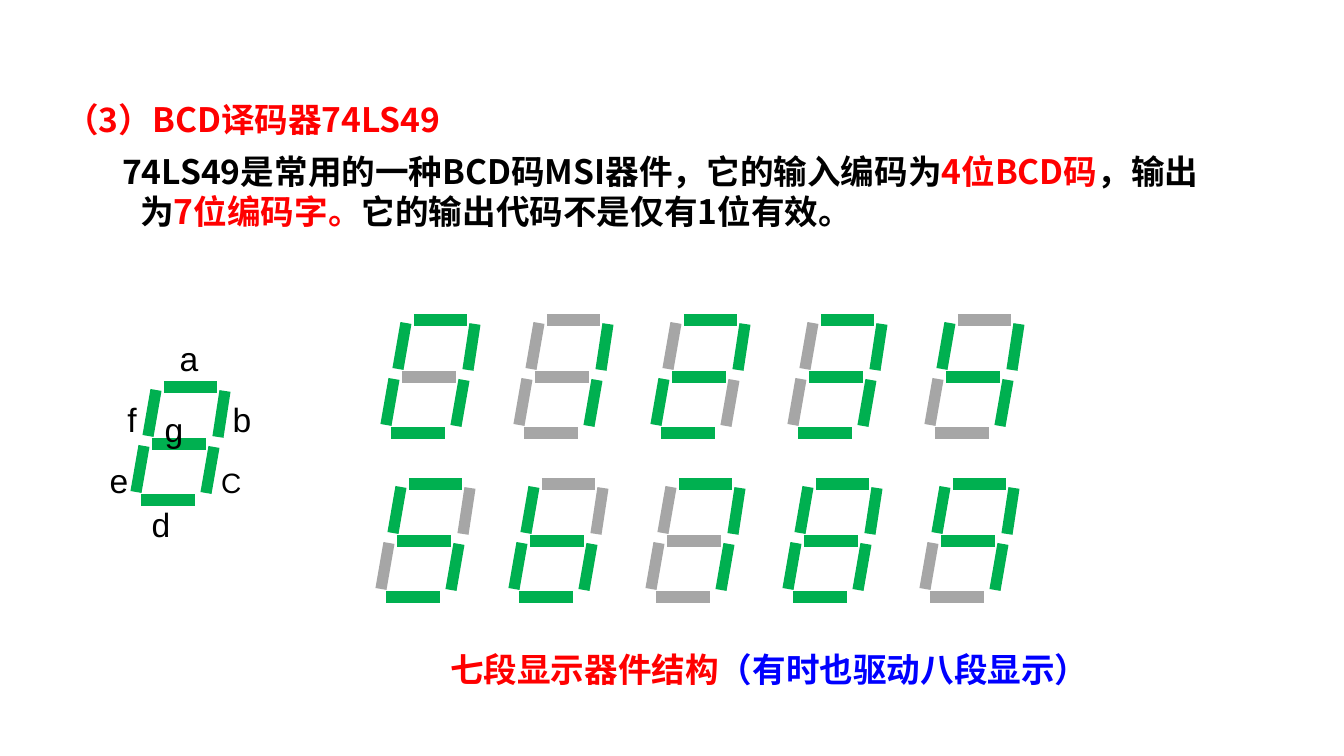
from dataclasses import dataclass

from lxml import etree
from pptx import Presentation
from pptx import util as u
from pptx.dml.color import RGBColor
from pptx.enum import shapes, text
from pptx.oxml.ns import qn


@dataclass(frozen=True)
class Theme:
    red: str = "FF0000"
    blue: str = "0000FF"
    black: str = "000000"
    lit: str = "00B050"
    unlit: str = "A6A6A6"
    heading_font: str = "Noto Sans CJK JP"
    label_font: str = "Arial"
    body_size: int = 18
    small_size: int = 15
    segment_width: int = 6


THEME = Theme()
PX_PER_INCH = 134.4
SLIDE_SIZE = (1344, 756)

SEGMENTS = {
    "d": (5, 113, 59, 113),
    "a": (28, 0, 81, 0),
    "f": (20, 3, 12, 49),
    "g": (16, 57, 70, 57),
    "e": (8, 59, 0, 105),
    "b": (89, 4, 82, 50),
    "c": (78, 60, 70, 106),
}
LIT_SEGMENTS = (
    ("abcdef", "bc", "abdeg", "abcdg", "bcfg"),
    ("acdfg", "cdefg", "abc", "abcdefg", "abcfg"),
)
COLUMN_OFFSETS = (0, 133, 270, 407, 544)
ROW_ORIGINS = ((386, 320), (381, 484))
LABEL_SIZE = (46, 54)
LABEL_CENTRES = {
    "C": (95, 95),
    "d": (25, 137),
    "e": (-17, 93),
    "a": (53, -29),
    "b": (106, 32),
    "f": (-4, 32),
    "g": (38, 42),
}


def px(length):
    return u.Emu(round(length * 914400 / PX_PER_INCH))


def add_text(parent, box, runs, font, size, bold=False):
    frame = parent.add_textbox(*map(px, box)).text_frame
    frame.word_wrap = True
    paragraph = frame.paragraphs[0]
    paragraph.font.name = font
    paragraph.font.size = u.Pt(size)
    paragraph.font.bold = bold
    latin = paragraph.font._element.find(qn("a:latin"))
    east_asian = etree.Element(qn("a:ea"), typeface=font)
    latin.addnext(east_asian)
    for wording, color in runs:
        run = paragraph.add_run()
        run.text = wording
        run.font.color.rgb = RGBColor.from_string(color)
    return paragraph


def add_heading(slide, box):
    heading = add_text(slide.shapes, box, [("（3）BCD译码器74LS49", THEME.red)],
                       THEME.heading_font, THEME.body_size, bold=True)
    heading.line_spacing = 0.9


def add_description(slide, box):
    description = add_text(slide.shapes, box, [
        ("74LS49是常用的一种BCD码MSI器件，它的输入编码为", THEME.black),
        ("4位BCD码", THEME.red),
        ("，输出为", THEME.black),
        ("7位编码字。", THEME.red),
        ("它的输出代码不是仅有1位有效。", THEME.black),
    ], THEME.heading_font, THEME.body_size, bold=True)
    properties = description._p.get_or_add_pPr()
    properties.set("marL", str(px(26)))
    properties.set("indent", str(px(-18)))


def add_caption(slide, box):
    add_text(slide.shapes, box, [
        ("七段显示器件结构", THEME.red),
        ("（有时也驱动八段显示）", THEME.blue),
    ], THEME.heading_font, THEME.body_size, bold=True)


def add_digit(slide, left, top, lit):
    digit = slide.shapes.add_group_shape()
    for name, (x1, y1, x2, y2) in SEGMENTS.items():
        segment = digit.shapes.add_connector(
            shapes.MSO_CONNECTOR.STRAIGHT,
            px(left + x1), px(top + y1), px(left + x2), px(top + y2))
        segment.line.width = u.Pt(THEME.segment_width)
        segment.line.color.rgb = RGBColor.from_string(
            THEME.lit if name in lit else THEME.unlit)
        etree.SubElement(segment._element.spPr, qn("a:effectLst"))
    return digit


def add_labelled_digit(slide, left, top):
    digit = add_digit(slide, left, top, "abcdefg")
    width, height = LABEL_SIZE
    for name, (x, y) in LABEL_CENTRES.items():
        box = (left + x - width // 2, top + y - height // 2, width, height)
        size = THEME.small_size if name == "C" else THEME.body_size
        label = add_text(digit.shapes, box, [(name, THEME.black)],
                         THEME.label_font, size)
        label.alignment = text.PP_ALIGN.CENTER
        label._parent.word_wrap = False
        label._parent.vertical_anchor = text.MSO_ANCHOR.MIDDLE


def add_digit_row(slide, left, top, digits):
    for offset, lit in zip(COLUMN_OFFSETS, digits):
        add_digit(slide, left + offset, top, lit)


def main():
    deck = Presentation()
    deck.slide_width, deck.slide_height = map(px, SLIDE_SIZE)
    slide = deck.slides.add_slide(deck.slide_layouts[6])
    add_heading(slide, (52, 97, 1173, 60))
    add_description(slide, (101, 144, 1126, 143))
    add_caption(slide, (437, 642, 688, 54))
    add_labelled_digit(slide, 136, 387)
    for origin, digits in zip(ROW_ORIGINS, LIT_SEGMENTS):
        add_digit_row(slide, *origin, digits)
    deck.save("out.pptx")


if __name__ == "__main__":
    main()
